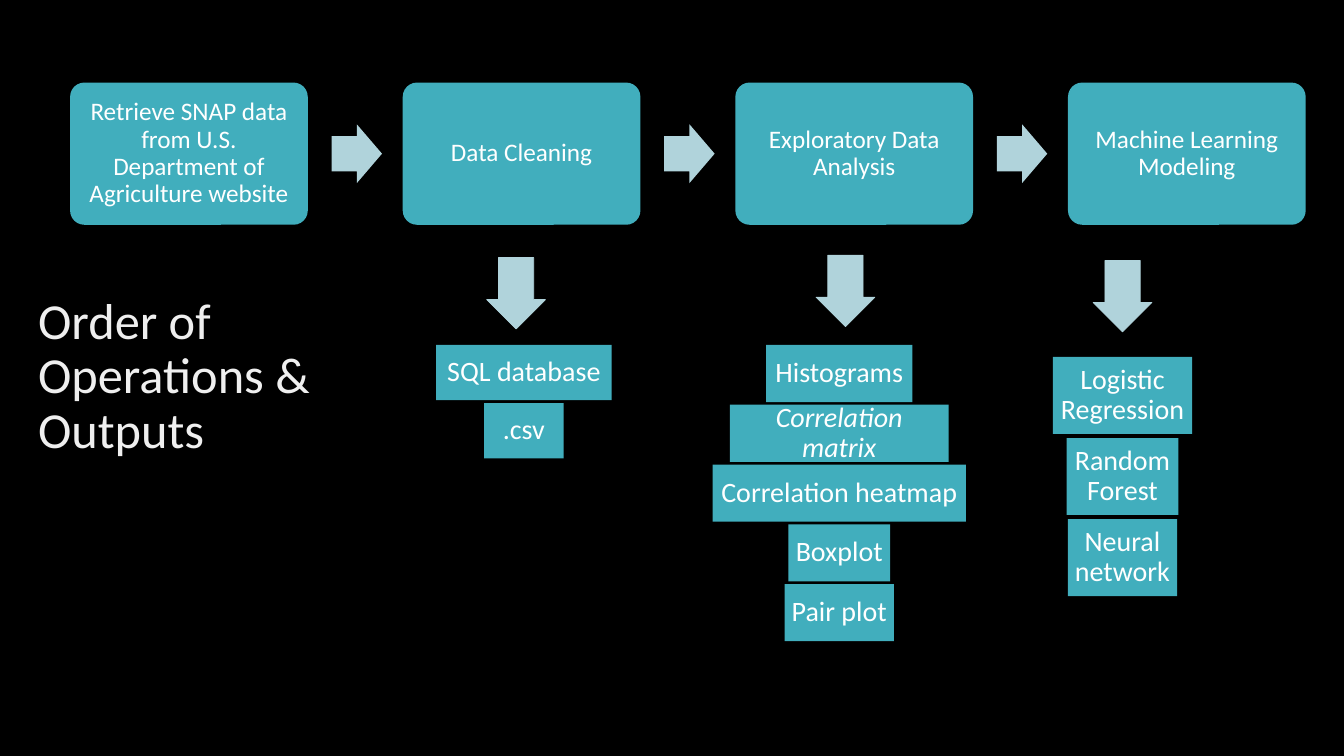
import pptx
import pptx.util
import pptx.dml.color
import pptx.enum.shapes
import pptx.enum.text

Pt = pptx.util.Pt
SHAPES = pptx.enum.shapes.MSO_SHAPE
ALIGN = pptx.enum.text.PP_ALIGN
ANCHOR = pptx.enum.text.MSO_ANCHOR

COLORS = {"background": "000000", "box": "41AEBD", "arrow": "B0D3DB",
          "text": "FFFFFF", "title": "EFEFEF"}
FONT = "Calibri"
TITLE = "Order of Operations & Outputs"
STEPS = ["Retrieve SNAP data from U.S. Department of Agriculture website",
         "Data Cleaning", "Exploratory Data Analysis", "Machine Learning Modeling"]
# Each output: label, box width, side inset, italic
OUTPUT_COLUMNS = [
    {"center": 374.2, "top": 246.4, "height": 39.5, "pitch": 41.5,
     "arrow_center": (368.6, 209.5),
     "outputs": [("SQL database", 125.5, 4, False), (".csv", 56.9, 4, False)]},
    {"center": 599.5, "top": 246.4, "height": 40.8, "pitch": 42.7,
     "arrow_center": (603.9, 207.8),
     "outputs": [("Histograms", 104.4, 4, False),
                 ("Correlation matrix", 156.2, 8, True),
                 ("Correlation heatmap", 180.8, 4, False),
                 ("Boxplot", 72.6, 4, False), ("Pair plot", 78, 4, False)]},
    {"center": 801.8, "top": 255, "height": 55, "pitch": 57.9,
     "arrow_center": (801.8, 211.6),
     "outputs": [("Logistic Regression", 99.4, 4, False),
                 ("Random Forest", 79.8, 4, False),
                 ("Neural network", 78, 4, False)]},
]

STEP_LEFT, STEP_TOP, STEP_WIDTH, STEP_HEIGHT, STEP_PITCH = 50.1, 59, 169.8, 101.6, 237.6
STEP_ARROW_GAP, STEP_ARROW_WIDTH, ARROW_HEIGHT = 17, 36, 42
DOWN_ARROW_LENGTH = 51


def rgb(name):
    return pptx.dml.color.RGBColor.from_string(COLORS[name])


def write(frame, text, size, color, align, italic=False):
    frame.word_wrap = True
    frame.vertical_anchor = ANCHOR.MIDDLE
    paragraph = frame.paragraphs[0]
    paragraph.alignment = align
    paragraph.line_spacing = 0.9
    run = paragraph.add_run()
    run.text = text
    run.font.name = FONT
    run.font.size = Pt(size)
    run.font.italic = italic
    run.font.color.rgb = rgb(color)


def add_flat_shape(slide, kind, left, top, width, height, color):
    shape = slide.shapes.add_shape(kind, Pt(left), Pt(top), Pt(width), Pt(height))
    shape.shadow.inherit = False
    shape.fill.solid()
    shape.fill.fore_color.rgb = rgb(color)
    shape.line.fill.background()
    return shape


def add_box(slide, kind, left, top, width, height, text, size, inset, italic=False):
    box = add_flat_shape(slide, kind, left, top, width, height, "box")
    frame = box.text_frame
    frame.margin_left = frame.margin_right = Pt(inset)
    frame.margin_top = frame.margin_bottom = Pt(4)
    write(frame, text, size, "text", ALIGN.CENTER, italic)
    return box


def add_arrow(slide, center_x, center_y, length, rotation=0):
    arrow = add_flat_shape(slide, SHAPES.RIGHT_ARROW, center_x - length / 2,
                           center_y - ARROW_HEIGHT / 2, length, ARROW_HEIGHT, "arrow")
    arrow.adjustments[0] = 0.6
    arrow.adjustments[1] = 0.5
    arrow.rotation = rotation
    return arrow


def add_steps(slide):
    for index, step in enumerate(STEPS):
        left = STEP_LEFT + index * STEP_PITCH
        box = add_box(slide, SHAPES.ROUNDED_RECTANGLE, left, STEP_TOP,
                      STEP_WIDTH, STEP_HEIGHT, step, 18, 8.4)
        box.adjustments[0] = 0.1
        if index < len(STEPS) - 1:
            center_x = left + STEP_WIDTH + STEP_ARROW_GAP + STEP_ARROW_WIDTH / 2
            add_arrow(slide, center_x, STEP_TOP + STEP_HEIGHT / 2, STEP_ARROW_WIDTH)


def add_outputs(slide):
    for column in OUTPUT_COLUMNS:
        for row, (label, width, inset, italic) in enumerate(column["outputs"]):
            add_box(slide, SHAPES.RECTANGLE, column["center"] - width / 2,
                    column["top"] + row * column["pitch"], width, column["height"],
                    label, 20, inset, italic)
        arrow = add_arrow(slide, *column["arrow_center"], DOWN_ARROW_LENGTH, 90)
        arrow.line.color.rgb = rgb("arrow")
        arrow.line.width = Pt(0.5)


def main():
    presentation = pptx.Presentation()
    presentation.slide_width, presentation.slide_height = Pt(960), Pt(540)
    slide = presentation.slides.add_slide(presentation.slide_layouts[5])
    slide.background.fill.solid()
    slide.background.fill.fore_color.rgb = rgb("background")

    title = slide.shapes.title
    title.left, title.top, title.width, title.height = Pt(20), Pt(88.6), Pt(283), Pt(362)
    write(title.text_frame, TITLE, 36, "title", ALIGN.LEFT)

    add_steps(slide)
    add_outputs(slide)
    presentation.save("out.pptx")


if __name__ == "__main__":
    main()
